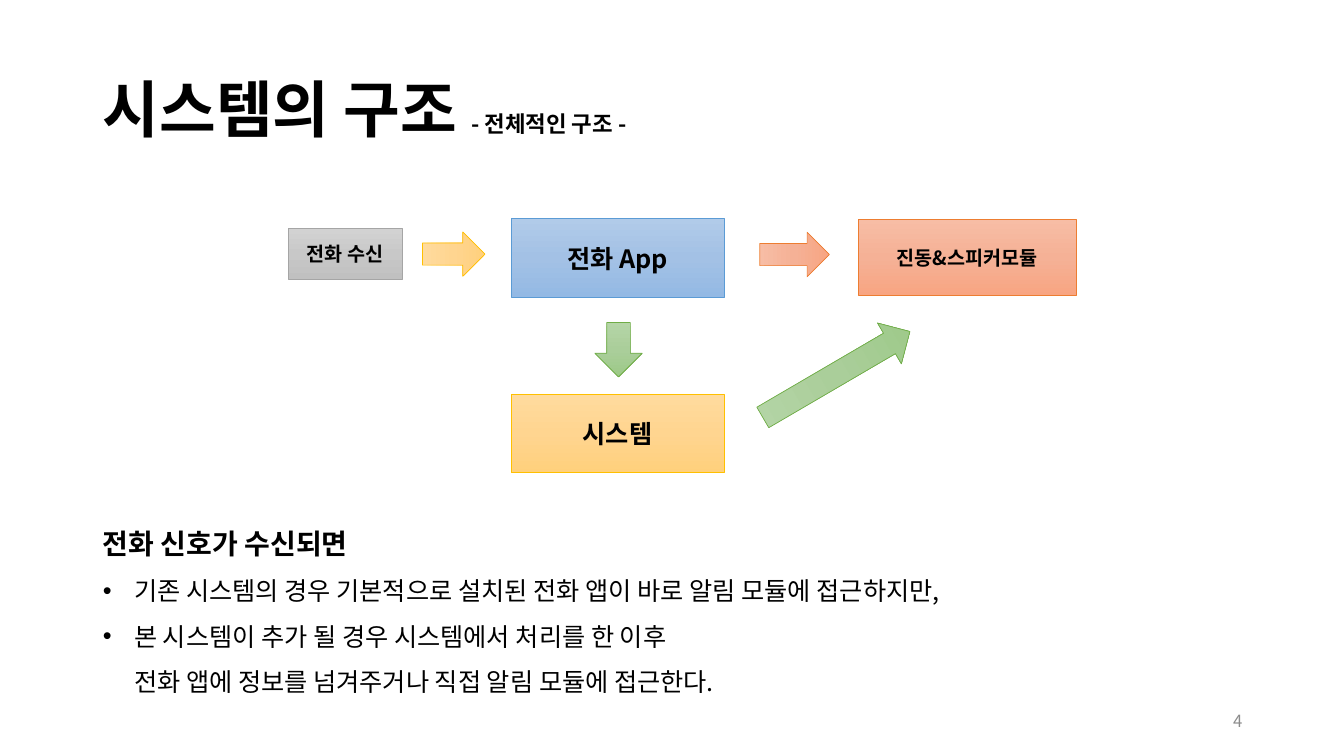
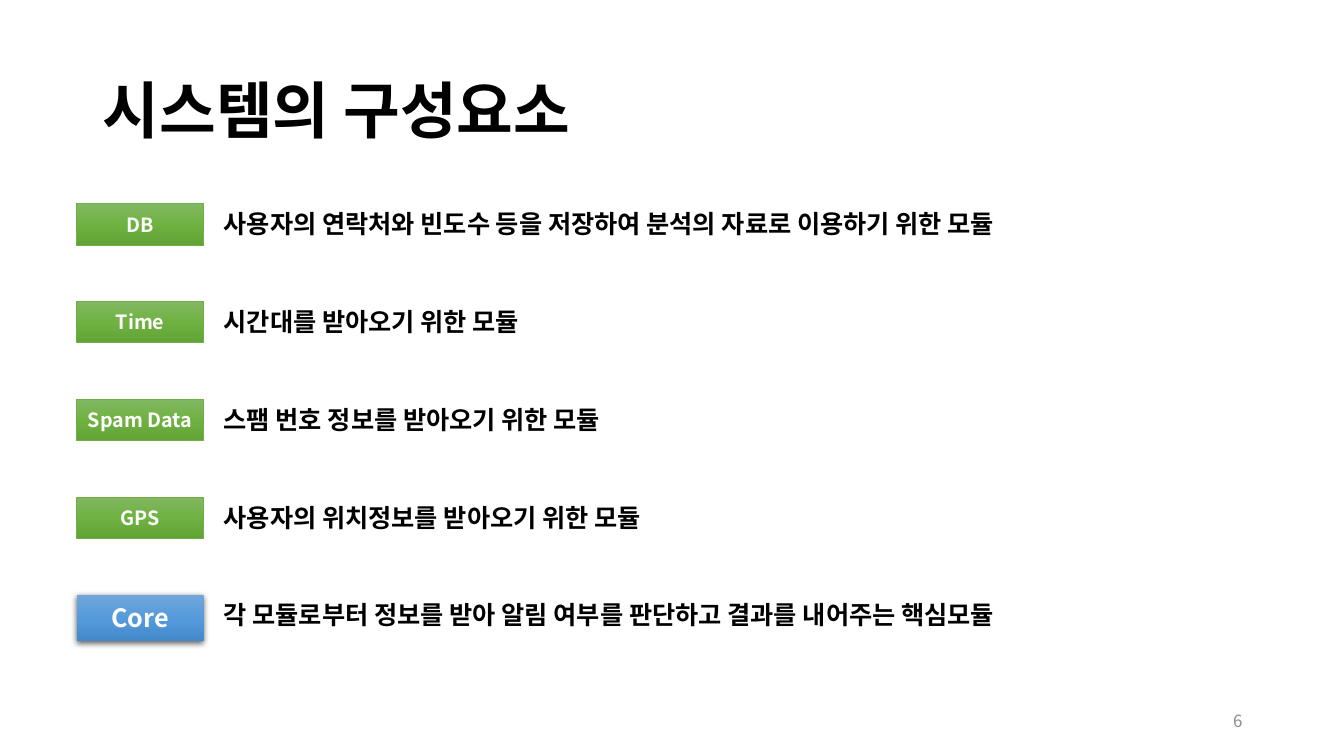
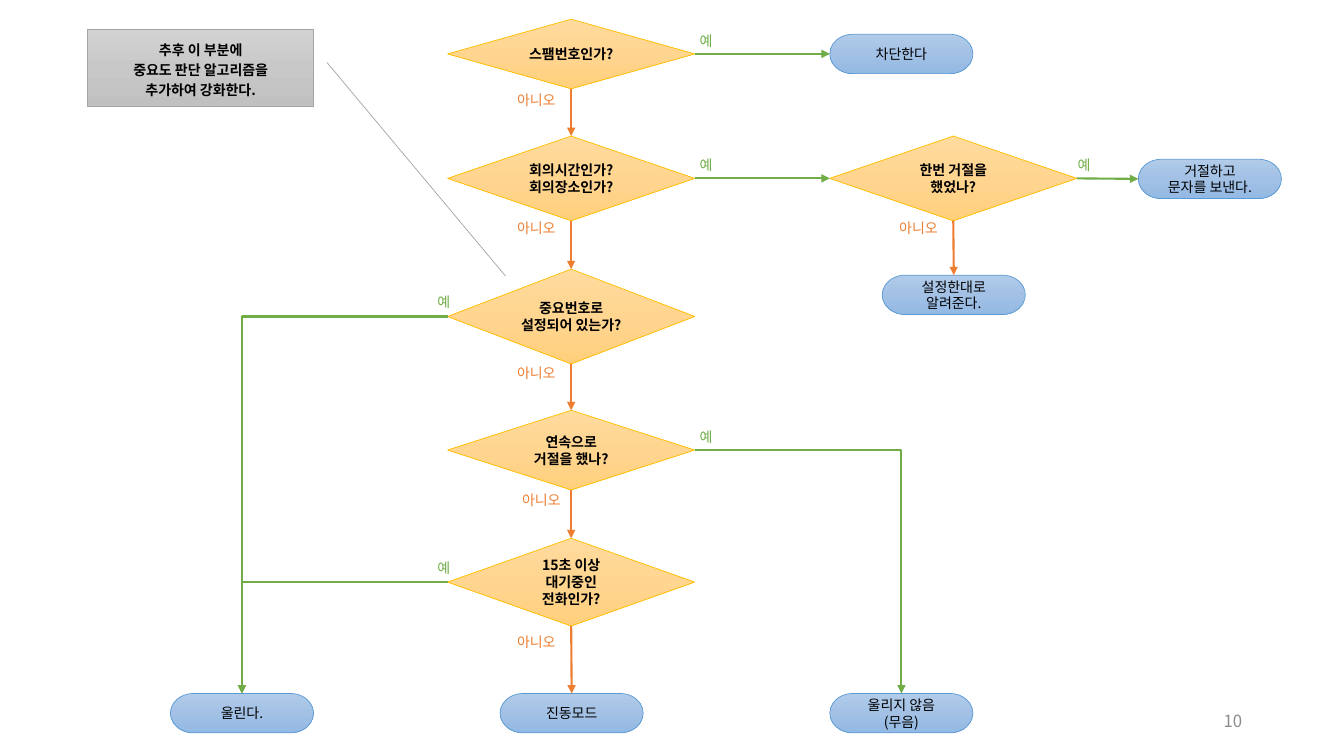
"""Builds three slides on the structure, modules and decision flow of a call alert system."""
import copy
import dataclasses

import lxml.etree
import pptx
import pptx.dml.color
import pptx.enum.shapes
import pptx.enum.text
import pptx.oxml.ns
import pptx.util

Inches = pptx.util.Inches
Pt = pptx.util.Pt
SHAPE = pptx.enum.shapes.MSO_SHAPE
ALIGN = pptx.enum.text.PP_ALIGN
ANCHOR = pptx.enum.text.MSO_ANCHOR
qn = pptx.oxml.ns.qn
TOP, LEFT, BOTTOM, RIGHT = range(4)


class Theme:
    font = "Noto Sans CJK KR"
    black, white, muted = "000000", "FFFFFF", "8C8C8C"
    yes, no = "70AD47", "ED7D31"
    title, heading, body, subtitle, label, footer, small = 44, 20, 18, 16, 14, 12, 10
    orange = ("F7BDA5", "F5B196", "F8A582"), "ED7D31"
    blue = ("B1CBE9", "A3C1E5", "93B9E4"), "5B9BD5"
    yellow = ("FFDB9E", "FFD590", "FFD07C"), "FFC000"
    gray = ("D2D2D2", "C8C8C8", "C0C0C0"), "A5A5A5"
    light_green = ("B5D5A7", "AACE9A", "9CC987"), "70AD47"
    green = ("81B861", "6FB242", "62A336"), "70AD47"
    strong_blue = ("71A6DB", "559BDB", "448ACA"), None


def rgb(value):
    return pptx.dml.color.RGBColor.from_string(value)


def place(sp, box):
    sp.left, sp.top, sp.width, sp.height = map(Inches, box)


@dataclasses.dataclass
class Deck:
    prs: object
    theme: object = Theme
    s: object = None

    def slide(self, layout, number):
        self.s = self.prs.slides.add_slide(self.prs.slide_layouts.get_by_name(layout))
        self.text((9.42, 6.95, 3, 0.4), str(number), self.theme.footer,
                  self.theme.muted, align=ALIGN.RIGHT, anchor=ANCHOR.MIDDLE)

    def run(self, p, text, size, color=Theme.black, bold=False):
        r = p.add_run()
        r.text = text
        r.font.size, r.font.bold = Pt(size), bold
        r.font.color.rgb = rgb(color)
        r.font.name = self.theme.font
        lxml.etree.SubElement(r.font._element, qn("a:ea"), typeface=self.theme.font)

    def lines(self, tf, text, size, color=Theme.black, bold=False,
              align=ALIGN.LEFT, spacing=None):
        for i, line in enumerate(text.split("\n")):
            p = tf.add_paragraph() if i else tf.paragraphs[0]
            p.alignment, p.line_spacing = align, spacing
            self.run(p, line, size, color, bold)

    def title(self, top, text, subtitle="", spacing=None):
        sp = self.s.shapes.title
        place(sp, (0.92, top, 11.5, 1.45))
        tf = sp.text_frame
        tf.auto_size = pptx.enum.text.MSO_AUTO_SIZE.NONE
        tf.vertical_anchor = ANCHOR.MIDDLE
        self.lines(tf, text, self.theme.title, bold=True, spacing=spacing)
        if subtitle:
            self.run(tf.paragraphs[0], subtitle, self.theme.subtitle, bold=True)

    def bullets(self, box, heading, items):
        sp = self.s.placeholders[1]
        place(sp, box)
        tf = sp.text_frame
        tf.auto_size = pptx.enum.text.MSO_AUTO_SIZE.NONE
        for i, text in enumerate([heading, *items]):
            p = tf.add_paragraph() if i else tf.paragraphs[0]
            p.line_spacing, p.space_before = 1.5, Pt(0)
            indent = Inches(0.31) if i else 0
            pPr = p._p.get_or_add_pPr()
            pPr.set("marL", str(indent))
            pPr.set("indent", str(-indent))
            if i:
                lxml.etree.SubElement(pPr, qn("a:buChar"), char="•")
            else:
                lxml.etree.SubElement(pPr, qn("a:buNone"))
            for j, line in enumerate(text.split("\n")):
                if j:
                    p.add_line_break()
                self.run(p, line, self.theme.body if i else self.theme.heading, bold=not i)

    def text(self, box, text, size, color=Theme.black, bold=False,
             align=ALIGN.LEFT, anchor=ANCHOR.TOP):
        tf = self.s.shapes.add_textbox(*map(Inches, box)).text_frame
        tf.word_wrap, tf.vertical_anchor = True, anchor
        self.lines(tf, text, size, color, bold, align)

    def shape(self, kind, box, style, text="", size=Theme.small, color=Theme.black,
              bold=True, rotation=0, spacing=None):
        sp = self.s.shapes.add_shape(kind, *map(Inches, box))
        sp.rotation = rotation
        sp.shadow.inherit = False
        colors, outline = style
        sp.fill.gradient()
        sp.fill.gradient_angle = 270
        stops = sp._element.spPr.find(qn("a:gradFill")).find(qn("a:gsLst"))
        stops.insert(1, copy.deepcopy(stops[0]))
        for i, (stop, value) in enumerate(zip(sp.fill.gradient_stops, colors)):
            stop.position, stop.color.rgb = i / 2, rgb(value)
        if outline:
            sp.line.color.rgb, sp.line.width = rgb(outline), Pt(0.5)
        else:
            sp.line.fill.background()
        if text:
            tf = sp.text_frame
            tf.word_wrap, tf.vertical_anchor = True, ANCHOR.MIDDLE
            tf.margin_left = tf.margin_right = 0
            self.lines(tf, text, size, color, bold, ALIGN.CENTER, spacing)
        return sp

    def drop_shadow(self, sp):
        effects = sp._element.spPr.find(qn("a:effectLst"))
        shadow = lxml.etree.SubElement(
            effects, qn("a:outerShdw"), blurRad=str(Pt(4.5)), dist=str(Pt(1.5)),
            dir="5400000", algn="ctr", rotWithShape="0")
        tone = lxml.etree.SubElement(shadow, qn("a:srgbClr"), val=self.theme.black)
        lxml.etree.SubElement(tone, qn("a:alpha"), val="63000")

    def arrow(self, start, start_side, end, end_side, color, bent=False):
        kinds = pptx.enum.shapes.MSO_CONNECTOR
        sp = self.s.shapes.add_connector(kinds.ELBOW if bent else kinds.STRAIGHT, 0, 0, 0, 0)
        sp.begin_connect(start, start_side)
        sp.end_connect(end, end_side)
        sp.line.color.rgb, sp.line.width = rgb(color), Pt(1.5)
        spPr = sp._element.spPr
        if bent:
            spPr.find(qn("a:prstGeom")).set("prst", "bentConnector2")
        lxml.etree.SubElement(spPr.find(qn("a:ln")), qn("a:tailEnd"), type="triangle")
        lxml.etree.SubElement(spPr, qn("a:effectLst"))

    def decision(self, left, top, height, text):
        return self.shape(SHAPE.FLOWCHART_DECISION, (left, top, 2.45, height),
                          self.theme.yellow, text)

    def outcome(self, left, top, text):
        return self.shape(SHAPE.FLOWCHART_TERMINATOR, (left, top, 1.42, 0.39),
                          self.theme.blue, text, bold=False)

    def yes_label(self, left, top):
        self.text((left, top, 0.41, 0.27), "예", self.theme.small, self.theme.yes)

    def no_label(self, left, top):
        self.text((left, top, 0.64, 0.27), "아니오", self.theme.small, self.theme.no)


def structure(deck):
    t = deck.theme
    deck.slide("Title and Content", 4)
    deck.title(0.35, "시스템의 구조 ", "- 전체적인 구조 -")
    for box, style, text, size in (
        ((2.86, 2.27, 1.13, 0.5), t.gray, "전화 수신", t.label),
        ((5.07, 2.17, 2.11, 0.78), t.blue, "전화 App", t.body),
        ((5.07, 3.91, 2.11, 0.78), t.yellow, "시스템", t.body),
        ((8.51, 2.18, 2.17, 0.75), t.orange, "진동&스피커모듈", t.label),
    ):
        deck.shape(SHAPE.RECTANGLE, box, style, text, size)
    for box, style, rotation in (
        ((4.28, 2.21, 0.44, 0.62), t.yellow, 270),
        ((7.66, 2.18, 0.44, 0.69), t.orange, 270),
        ((5.9, 3.2, 0.47, 0.54), t.light_green, 0),
        ((8.06, 2.87, 0.47, 1.69), t.light_green, 239.7),
    ):
        deck.shape(SHAPE.DOWN_ARROW, box, style, rotation=rotation)
    deck.bullets((0.92, 5.01, 11.5, 1.97), "전화 신호가 수신되면", (
        "기존 시스템의 경우 기본적으로 설치된 전화 앱이 바로 알림 모듈에 접근하지만,",
        "본 시스템이 추가 될 경우 시스템에서 처리를 한 이후\n"
        "전화 앱에 정보를 넘겨주거나 직접 알림 모듈에 접근한다.",
    ))


def components(deck):
    t = deck.theme
    deck.slide("Title Only", 6)
    deck.title(0.4, "시스템의 구성요소", spacing=0.9)
    modules = (
        ("DB", "사용자의 연락처와 빈도수 등을 저장하여 분석의 자료로 이용하기 위한 모듈"),
        ("Time", "시간대를 받아오기 위한 모듈"),
        ("Spam Data", "스팸 번호 정보를 받아오기 위한 모듈"),
        ("GPS", "사용자의 위치정보를 받아오기 위한 모듈"),
        ("Core", "각 모듈로부터 정보를 받아 알림 여부를 판단하고 결과를 내어주는 핵심모듈"),
    )
    for i, (name, purpose) in enumerate(modules):
        top = 2.02 + 0.97 * i
        core = name == "Core"
        sp = deck.shape(SHAPE.RECTANGLE, (0.76, top, 1.26, 0.46 if core else 0.41),
                        t.strong_blue if core else t.green, name,
                        t.body if core else t.label, t.white)
        if core:
            deck.drop_shadow(sp)
        deck.text((2.12, top, 11.15, 0.4), purpose, t.body, bold=True)


def decision_flow(deck):
    t = deck.theme
    deck.slide("Blank", 10)
    steps = [deck.decision(4.44, *step) for step in (
        (0.19, 0.69, "스팸번호인가?"),
        (1.35, 0.84, "회의시간인가?\n회의장소인가?"),
        (2.67, 0.94, "중요번호로\n설정되어 있는가?"),
        (4.07, 0.79, "연속으로\n거절을 했나?"),
        (5.34, 0.87, "15초 이상\n대기중인\n전화인가?"),
    )]
    spam, meeting, important, repeated, waiting = steps
    refused = deck.decision(8.23, 1.35, 0.84, "한번 거절을\n했었나?")
    block = deck.outcome(8.23, 0.34, "차단한다")
    reply = deck.outcome(11.29, 1.58, "거절하고\n문자를 보낸다.")
    as_set = deck.outcome(8.75, 2.73, "설정한대로\n알려준다.")
    ring = deck.outcome(1.69, 6.88, "울린다.")
    vibrate = deck.outcome(4.96, 6.88, "진동모드")
    silent = deck.outcome(8.23, 6.88, "울리지 않음\n(무음)")

    for start, end in ((spam, block), (meeting, refused), (refused, reply)):
        deck.arrow(start, RIGHT, end, LEFT, t.yes)
    for start, side, end in ((important, LEFT, ring), (waiting, LEFT, ring),
                             (repeated, RIGHT, silent)):
        deck.arrow(start, side, end, TOP, t.yes, bent=True)
    for start, end in (*zip(steps, [*steps[1:], vibrate]), (refused, as_set)):
        deck.arrow(start, BOTTOM, end, TOP, t.no)

    for left, top in ((6.84, 0.27), (6.84, 1.5), (6.84, 4.2), (4.24, 2.86),
                      (4.24, 5.5), (10.59, 1.5)):
        deck.yes_label(left, top)
    for left, top in ((5.03, 0.86), (5.03, 2.13), (5.03, 3.57), (5.08, 4.83),
                      (5.03, 6.24), (8.82, 2.13)):
        deck.no_label(left, top)

    callout = deck.shape(SHAPE.LINE_CALLOUT_1, (0.87, 0.29, 2.24, 0.77), t.gray,
                         "추후 이 부분에\n중요도 판단 알고리즘을\n추가하여 강화한다.", spacing=1.2)
    for i, value in enumerate((0.43, 1.06, 3.18, 1.85)):
        callout.adjustments[i] = value


prs = pptx.Presentation()
prs.slide_width, prs.slide_height = Inches(13.33), Inches(7.5)
deck = Deck(prs)
structure(deck)
components(deck)
decision_flow(deck)
prs.save("out.pptx")
